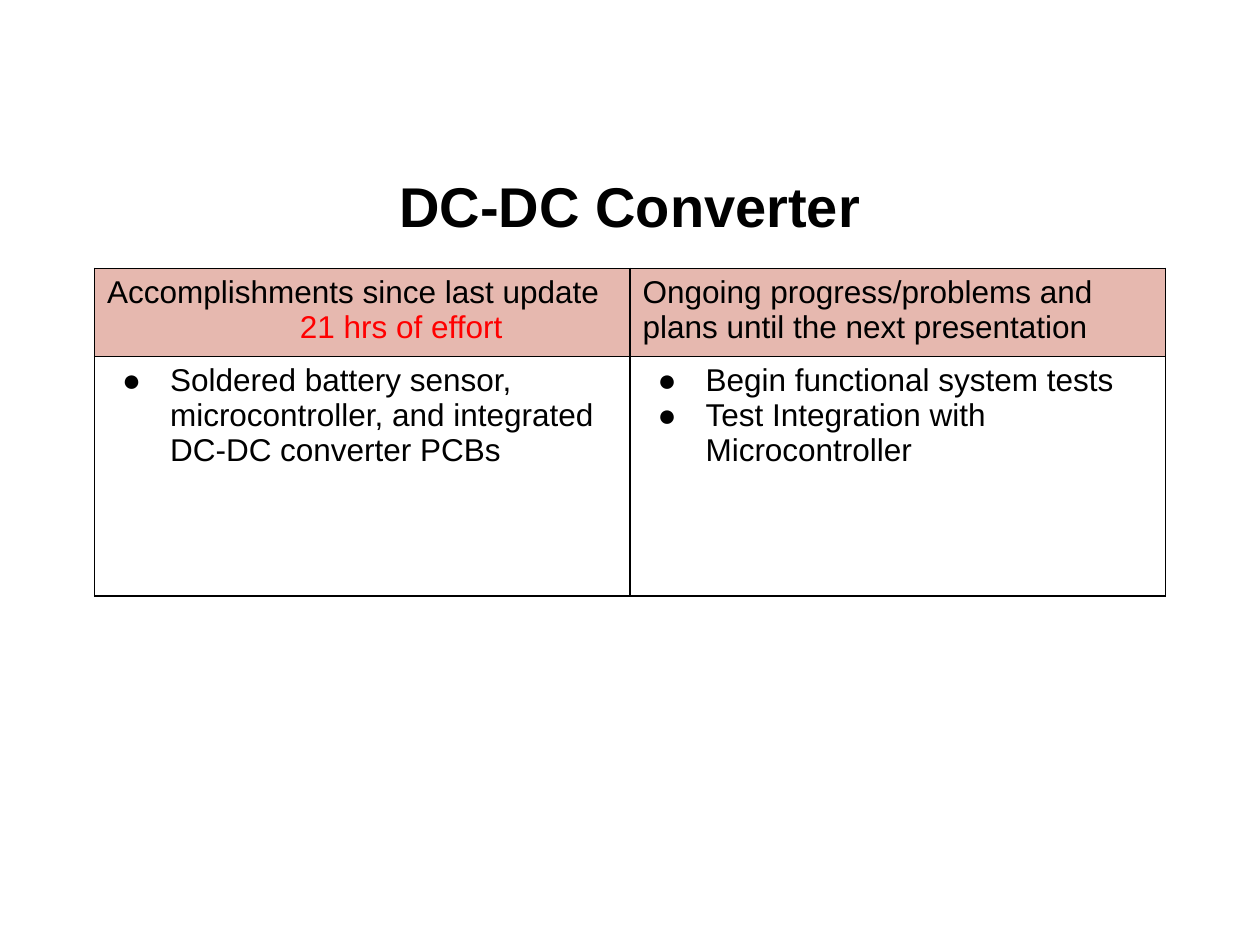
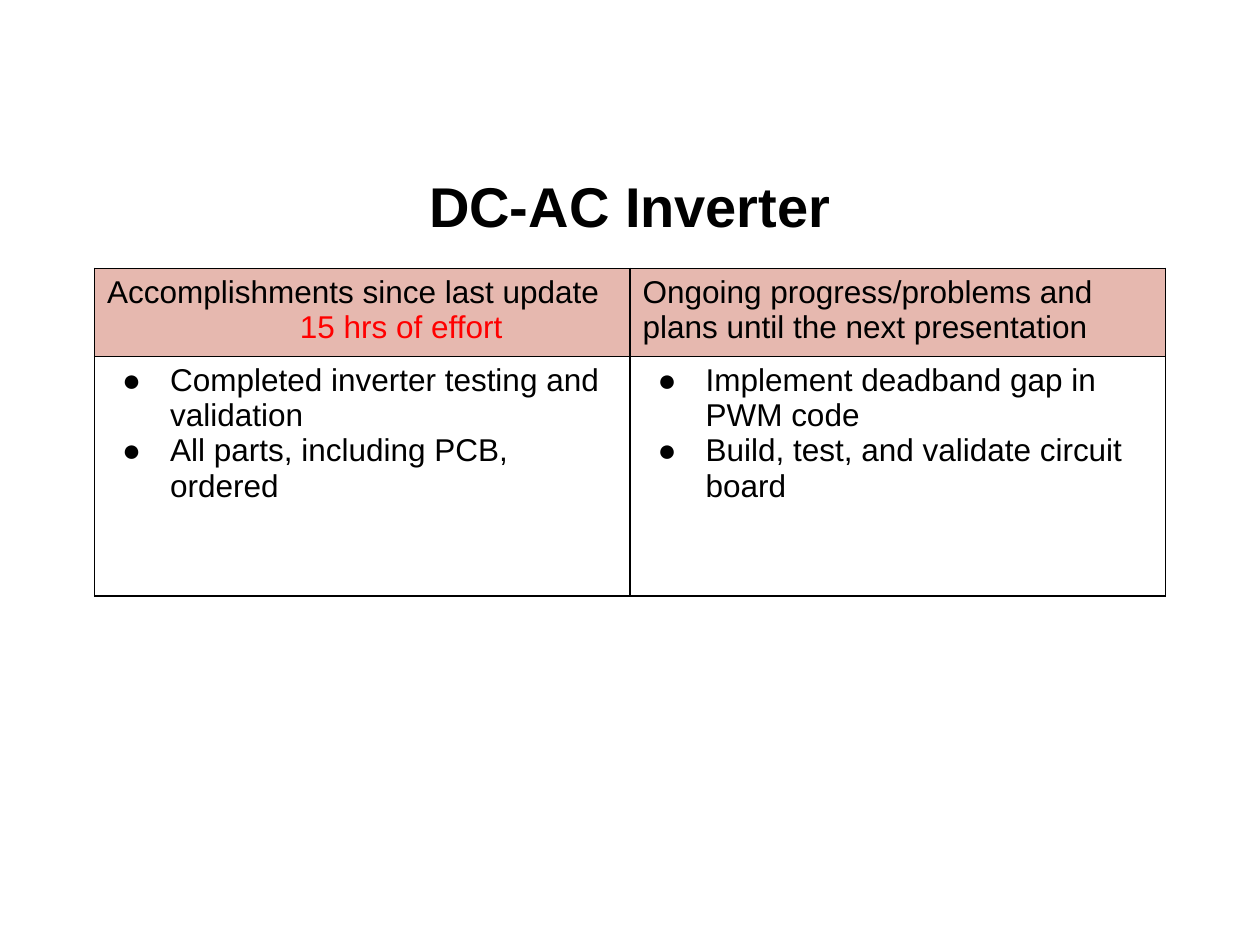
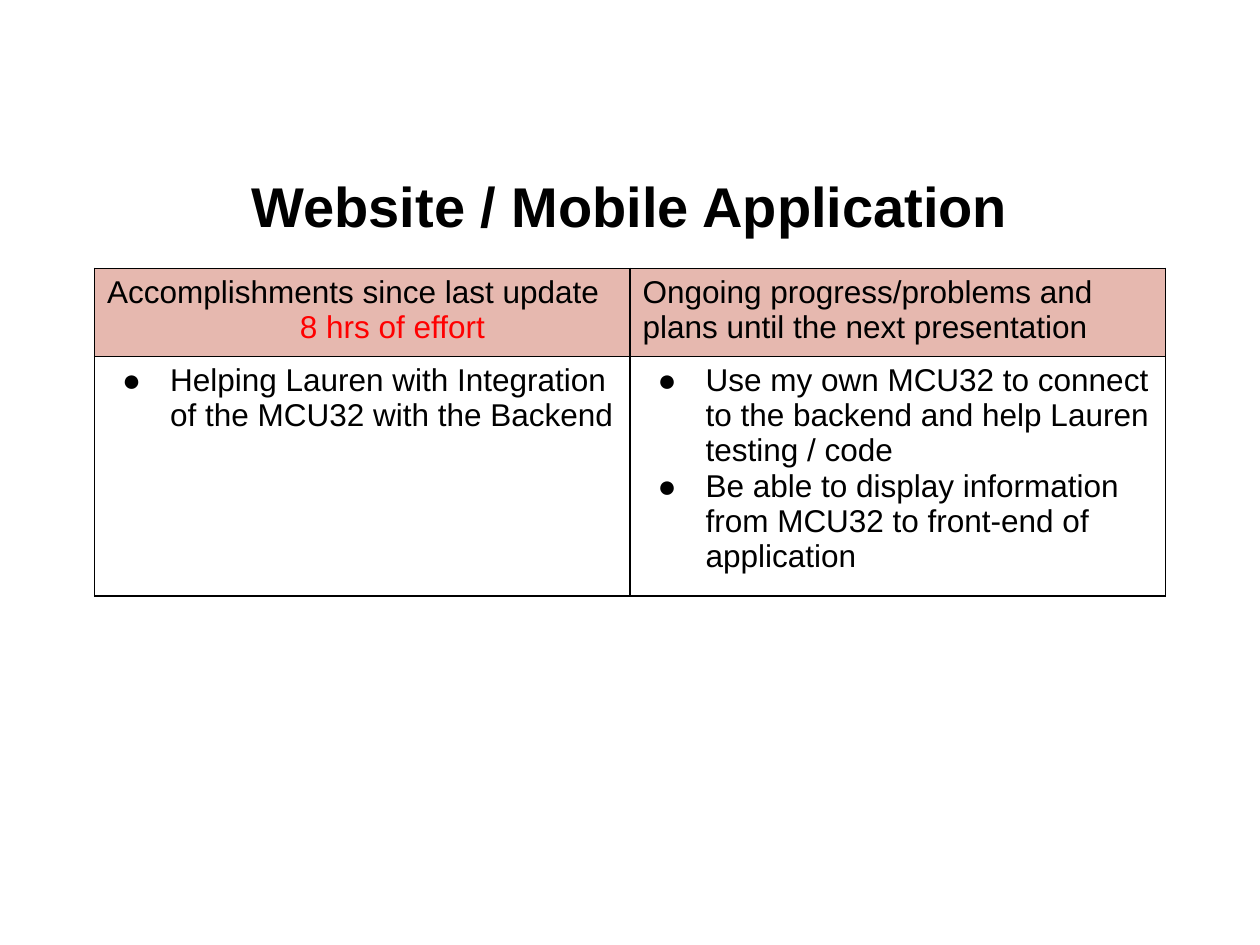
from dataclasses import dataclass

from lxml import etree
from pptx import Presentation
from pptx.dml.color import RGBColor
from pptx.enum.text import MSO_ANCHOR, MSO_AUTO_SIZE, PP_ALIGN
from pptx.oxml.ns import qn
from pptx.util import Inches, Pt

CENTER, LEFT = PP_ALIGN.CENTER, PP_ALIGN.LEFT
MIDDLE = MSO_ANCHOR.MIDDLE
NO_AUTOFIT = MSO_AUTO_SIZE.NONE
TITLE_ONLY = 5

# Shared style
FONT = "Arial"
BLACK, RED, HEADER_PINK = "000000", "FF0000", "E6B8AF"
TITLE_SIZE, TABLE_SIZE, BORDER_WIDTH = 32, 18, 1
COLUMN_WIDTH, ROW_HEIGHTS = 4.25, (0.7, 1.9)
EFFORT_INDENT, BULLET_INDENT, BULLET_HANG = 1.53, 0.5, 0.38


@dataclass
class Update:
    topic: str
    hours: int
    accomplishments: list[str]
    plans: list[str]


UPDATES = [
    Update(
        "DC-DC Converter", 21,
        ["Soldered battery sensor, microcontroller, and integrated DC-DC converter PCBs"],
        ["Begin functional system tests", "Test Integration with Microcontroller"],
    ),
    Update(
        "DC-AC Inverter", 15,
        ["Completed inverter testing and validation", "All parts, including PCB, ordered"],
        ["Implement deadband gap in PWM code", "Build, test, and validate circuit board"],
    ),
    Update(
        "Website / Mobile Application", 8,
        ["Helping Lauren with Integration of the MCU32 with the Backend"],
        ["Use my own MCU32 to connect to the backend and help Lauren testing / code",
         "Be able to display information from MCU32 to front-end of application"],
    ),
]


def rgb(color: str) -> RGBColor:
    return RGBColor.from_string(color)


def add_color(parent, color: str) -> None:
    etree.SubElement(parent, qn("a:srgbClr"), val=color)


def write(frame, text: str, *, size=TABLE_SIZE, color=BLACK, bold=False, align=LEFT,
          line_spacing=None, indent=0.0, bullet=False) -> None:
    """Fill the frame's empty first paragraph, or add a paragraph after it."""
    first = frame.paragraphs[0]
    paragraph = frame.add_paragraph() if first.runs else first
    paragraph.alignment = align
    if line_spacing:
        paragraph.line_spacing = line_spacing
    run = paragraph.add_run()
    run.text = text
    run.font.name, run.font.size, run.font.bold = FONT, Pt(size), bold
    run.font.color.rgb = rgb(color)
    properties = paragraph._p.get_or_add_pPr()
    if indent:
        properties.set("marL", str(Inches(indent)))
    if bullet:
        properties.set("indent", str(-Inches(BULLET_HANG)))
        add_color(etree.SubElement(properties, qn("a:buClr")), color)
        etree.SubElement(properties, qn("a:buFont"), typeface=FONT)
        etree.SubElement(properties, qn("a:buChar"), char="●")


def style_cell(cell, fill: str | None) -> None:
    properties = cell._tc.get_or_add_tcPr()
    for side in ("lnL", "lnR", "lnT", "lnB"):
        border = etree.SubElement(properties, qn(f"a:{side}"), w=str(Pt(BORDER_WIDTH)))
        add_color(etree.SubElement(border, qn("a:solidFill")), BLACK)
    if fill:
        cell.fill.solid()
        cell.fill.fore_color.rgb = rgb(fill)
    else:
        cell.fill.background()


def add_title(slide, text: str) -> None:
    title = slide.shapes.title
    title.left, title.top = Inches(0.5), Inches(1.15)
    title.width, title.height = Inches(9), Inches(0.88)
    frame = title.text_frame
    frame.auto_size, frame.vertical_anchor = NO_AUTOFIT, MIDDLE
    write(frame, text, size=TITLE_SIZE, bold=True, align=CENTER, line_spacing=1.15)


def add_update_table(slide, update: Update) -> None:
    table = slide.shapes.add_table(
        2, 2, Inches(0.75), Inches(2.13),
        Inches(2 * COLUMN_WIDTH), Inches(sum(ROW_HEIGHTS))).table
    table.first_row = table.horz_banding = False
    for column in table.columns:
        column.width = Inches(COLUMN_WIDTH)
    for row, height, fill in zip(table.rows, ROW_HEIGHTS, (HEADER_PINK, None)):
        row.height = Inches(height)
        for cell in row.cells:
            style_cell(cell, fill)

    # Header row
    done, planned = (table.cell(0, column).text_frame for column in range(2))
    write(done, "Accomplishments since last update")
    write(done, f"{update.hours} hrs of effort", color=RED, indent=EFFORT_INDENT)
    write(planned, "Ongoing progress/problems and plans until the next presentation")

    # Bulleted row
    for column, items in enumerate((update.accomplishments, update.plans)):
        for item in items:
            write(table.cell(1, column).text_frame, item, indent=BULLET_INDENT, bullet=True)


def main() -> None:
    deck = Presentation()
    deck.slide_width, deck.slide_height = Inches(10), Inches(7.5)
    for update in UPDATES:
        slide = deck.slides.add_slide(deck.slide_layouts[TITLE_ONLY])
        add_title(slide, update.topic)
        add_update_table(slide, update)
    deck.save("out.pptx")


if __name__ == "__main__":
    main()
